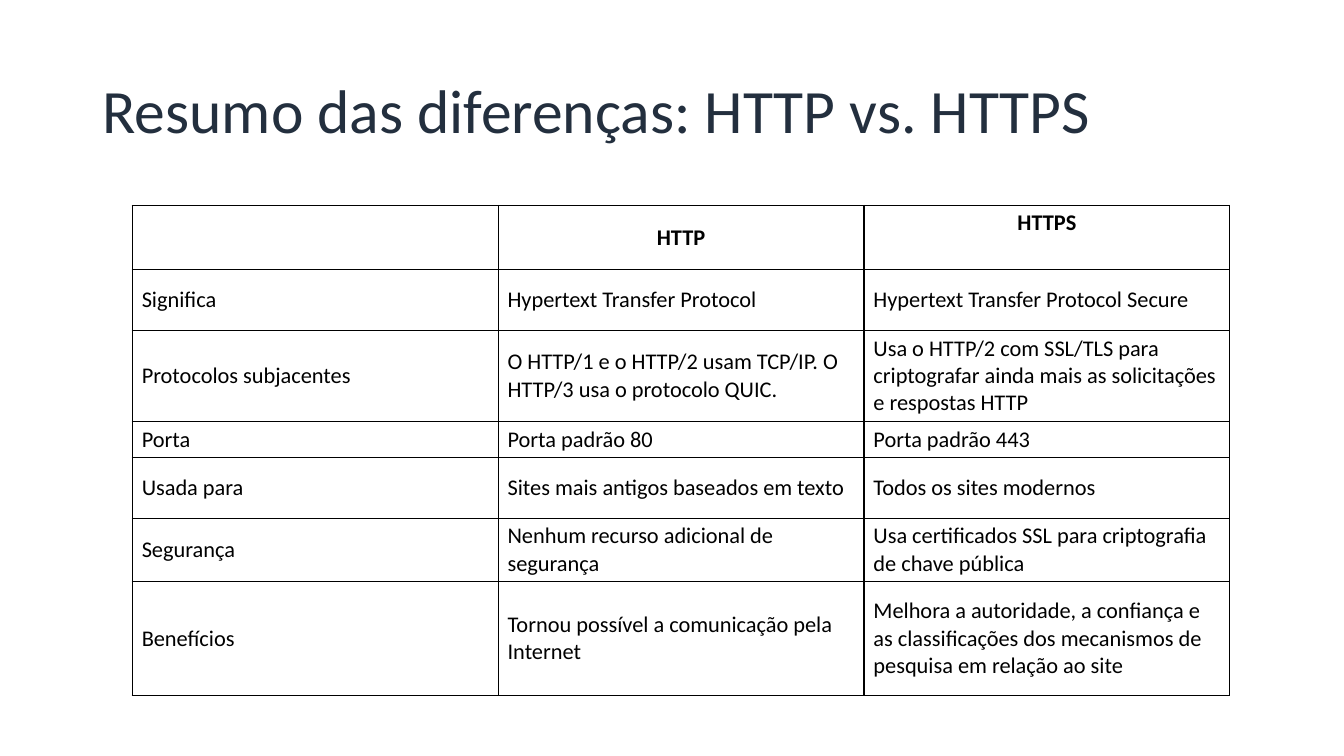
import pptx
import pptx.util
import pptx.dml.color
import pptx.enum.text
import pptx.oxml
import pptx.oxml.ns
import lxml.etree

Pt = pptx.util.Pt
ANCHOR = pptx.enum.text.MSO_ANCHOR
ALIGN = pptx.enum.text.PP_ALIGN
COLORS = {"title": "232F3E", "text": "000000", "border": "000000"}
FONT = "Calibri"

COMPARISON = [
    ("", "HTTP", "HTTPS"),
    ("Significa", "Hypertext Transfer Protocol", "Hypertext Transfer Protocol Secure"),
    ("Protocolos subjacentes",
     "O HTTP/1 e o HTTP/2 usam TCP/IP. O HTTP/3 usa o protocolo QUIC.",
     "Usa o HTTP/2 com SSL/TLS para criptografar ainda mais as solicitações e respostas HTTP"),
    ("Porta", "Porta padrão 80", "Porta padrão 443"),
    ("Usada para", "Sites mais antigos baseados em texto", "Todos os sites modernos"),
    ("Segurança", "Nenhum recurso adicional de segurança",
     "Usa certificados SSL para criptografia de chave pública"),
    ("Benefícios", "Tornou possível a comunicação pela Internet",
     "Melhora a autoridade, a confiança e as classificações dos mecanismos de "
     "pesquisa em relação ao site"),
]
ROW_HEIGHTS = [45.7, 43.6, 65, 25.7, 43.6, 45, 81.4]


def style_font(font, size, color, bold=False):
    font.name, font.size, font.bold = FONT, Pt(size), bold
    font.color.rgb = pptx.dml.color.RGBColor.from_string(COLORS[color])


def add_borders(cell):
    properties = cell._tc.get_or_add_tcPr()
    # Border lines come before the fill in the cell properties
    for index, side in enumerate(("lnL", "lnR", "lnT", "lnB")):
        line = lxml.etree.Element(pptx.oxml.ns.qn(f"a:{side}"), w=str(Pt(1)))
        fill = lxml.etree.SubElement(line, pptx.oxml.ns.qn("a:solidFill"))
        lxml.etree.SubElement(fill, pptx.oxml.ns.qn("a:srgbClr"), val=COLORS["border"])
        properties.insert(index, line)


def place_title(slide, left, top, width, height):
    title = slide.shapes.title
    title.left, title.top, title.width, title.height = map(Pt, (left, top, width, height))
    frame = title.text_frame
    frame.text = "Resumo das diferenças: HTTP vs. HTTPS"
    frame.vertical_anchor = ANCHOR.MIDDLE
    frame.word_wrap = True
    heading = frame.paragraphs[0]
    heading.alignment = ALIGN.LEFT
    heading.line_spacing = 0.9
    style_font(heading.font, 44, "title")


def fill_cell(cell, text, is_header):
    cell.fill.background()
    add_borders(cell)
    cell.margin_left = cell.margin_right = Pt(6.75)
    cell.margin_top = cell.margin_bottom = Pt(3)
    cell.vertical_anchor = ANCHOR.TOP if text == "HTTPS" else ANCHOR.MIDDLE
    cell.text = text
    paragraph = cell.text_frame.paragraphs[0]
    paragraph.alignment = ALIGN.CENTER if is_header else ALIGN.LEFT
    style_font(paragraph.font, 16, "text", bold=is_header)


def add_comparison(slide, left, top, width, height):
    columns = len(COMPARISON[0])
    table = slide.shapes.add_table(
        len(COMPARISON), columns, Pt(left), Pt(top), Pt(width), Pt(height)).table
    table.first_row = table.horz_banding = False
    for column in table.columns:
        column.width = Pt(width / columns)
    for r, (texts, share) in enumerate(zip(COMPARISON, ROW_HEIGHTS)):
        table.rows[r].height = Pt(height * share / sum(ROW_HEIGHTS))
        for c, text in enumerate(texts):
            fill_cell(table.cell(r, c), text, is_header=r == 0)


def main():
    presentation = pptx.Presentation()
    presentation.slide_width, presentation.slide_height = Pt(960), Pt(540)
    slide = presentation.slides.add_slide(presentation.slide_layouts[5])
    place_title(slide, 66, 28.75, 828, 104.4)
    add_comparison(slide, 94.5, 146.7, 784, 350)
    presentation.save("out.pptx")


if __name__ == "__main__":
    main()
